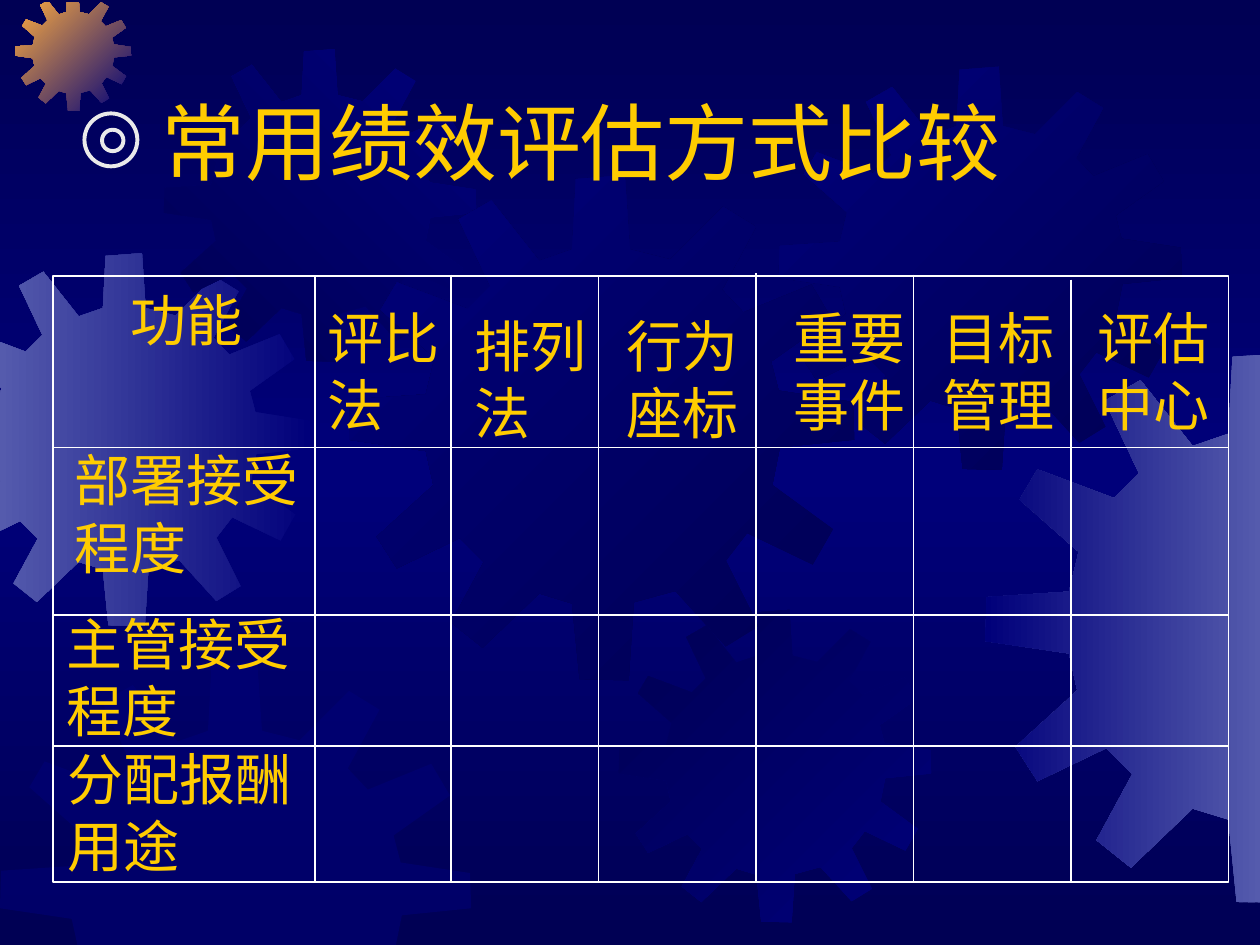
from copy import deepcopy

from lxml.etree import SubElement
from pptx import Presentation
from pptx.dml.color import RGBColor
from pptx.enum.shapes import MSO_CONNECTOR, MSO_SHAPE
from pptx.enum.text import MSO_AUTO_SIZE
from pptx.oxml.ns import qn
from pptx.util import Inches, Pt

NAVY, BLUE = "000054", "00007A"
LAVENDER, ORANGE = "555BAD", "FCAB40"
YELLOW, WHITE, PALE = "FFCC00", "FFFFFF", "EAEAEA"

# Outline of one gear inside a square of GEAR_UNITS by GEAR_UNITS.
GEAR_UNITS = 401
GEAR_OUTLINE = [
    (255, 67), (223, 59), (219, 0), (180, 3), (177, 59), (151, 68),
    (113, 20), (87, 35), (112, 88), (94, 106), (38, 85), (25, 107),
    (68, 145), (61, 174), (1, 178), (0, 210), (61, 219), (67, 246),
    (22, 287), (38, 312), (88, 288), (107, 307), (81, 355), (106, 375),
    (151, 332), (177, 340), (183, 400), (222, 401), (226, 339), (259, 330),
    (299, 374), (325, 358), (299, 306), (316, 284), (368, 309), (384, 281),
    (336, 246), (342, 216), (401, 210), (400, 180), (341, 171), (335, 148),
    (383, 114), (367, 87), (313, 109), (296, 91), (323, 41), (297, 25),
]
# Axis, limit, and the side to keep (1 above the limit, -1 below it).
PAGE_EDGES = [(0, -0.01, 1), (0, 10.01, -1), (1, 0.02, 1), (1, 7.54, -1)]

# Left, top, size, gradient colours, clockwise angle.
GEARS = [
    (-0.49, 2.01, 2.96, (BLUE, LAVENDER), 180),
    (0.12, -0.04, 0.92, (BLUE, ORANGE), 225),
    (1.3, 0.39, 2.48, (BLUE, NAVY), 135),
    (2.77, 1.39, 4.01, (NAVY, BLUE), 225),
    (0, 5.25, 3.74, (BLUE,), None),
    (4.91, 4.84, 2.48, (BLUE, NAVY), 225),
    (6.18, 0.53, 3.2, (NAVY, BLUE), 225),
    (7.82, 2.8, 4.37, (LAVENDER, BLUE), 180),
]

GRID_LEFT, GRID_TOP, GRID_RIGHT, GRID_BOTTOM = 0.42, 2.19, 9.75, 7
ROW_LINES = [3.55, 4.88, 5.92]
COLUMN_LINES = [(2.5, 2.19), (3.58, 2.18), (4.75, 2.19),
                (6, 2.17), (7.25, 2.18), (8.5, 2.22)]

# Left, top, width, height, text.
LABELS = [
    (0.94, 2.22, 1.09, 0.64, "功能"),
    (3.67, 2.42, 1.09, 1.17, "排列\n法"),
    (4.87, 2.42, 1.09, 1.17, "行为\n座标"),
    (6.2, 2.36, 1.09, 1.17, "重要\n事件"),
    (7.38, 2.36, 1.09, 1.17, "目标\n管理"),
    (8.61, 2.36, 1.09, 1.17, "评估\n中心"),
    (2.5, 2.36, 1.09, 1.17, "评比\n法"),
    (0.44, 5.86, 1.98, 1.17, "分配报酬\n用途"),
    (0.43, 4.79, 1.98, 1.17, "主管接受\n程度"),
    (0.49, 3.49, 1.98, 1.17, "部署接受\n程度"),
]


def color(hex_string):
    return RGBColor.from_string(hex_string)


def clip(points, axis, limit, side):
    """Cut a closed outline along one straight page edge."""
    kept = []
    for start, end in zip(points, points[1:] + points[:1]):
        start_inside = (start[axis] - limit) * side >= 0
        end_inside = (end[axis] - limit) * side >= 0
        if start_inside:
            kept.append(start)
        if start_inside != end_inside:
            share = (limit - start[axis]) / (end[axis] - start[axis])
            kept.append(tuple(a + share * (b - a) for a, b in zip(start, end)))
    return kept


def fill_gradient(fill, element, colors, angle):
    """Spread the colours evenly along a clockwise angle."""
    fill.gradient()
    fill.gradient_angle = 360 - angle
    stop_list = element.find(".//" + qn("a:gsLst"))
    while len(stop_list) < len(colors):
        stop_list.append(deepcopy(stop_list[0]))
    for index, (stop, hex_string) in enumerate(zip(fill.gradient_stops, colors)):
        stop.position = index / (len(colors) - 1)
        stop.color.rgb = color(hex_string)


class SlideBuilder:
    font_name = "Times New Roman"
    text_color = YELLOW
    grid_color = WHITE
    grid_width = 0.75

    def __init__(self, slide):
        self.slide = slide
        self.shapes = slide.shapes

    def background(self, colors, angle):
        fill_gradient(self.slide.background.fill, self.slide._element, colors, angle)

    def gear(self, left, top, size, colors, angle):
        scale = size / GEAR_UNITS
        points = [(left + x * scale, top + y * scale) for x, y in GEAR_OUTLINE]
        for edge in PAGE_EDGES:
            points = clip(points, *edge)
        corners = [(Inches(x), Inches(y)) for x, y in points]
        builder = self.shapes.build_freeform(*corners[0])
        builder.add_line_segments(corners[1:], close=True)
        shape = builder.convert_to_shape()
        shape.shadow.inherit = False
        shape.line.fill.background()
        if len(colors) > 1:
            fill_gradient(shape.fill, shape._element, colors, angle)
        else:
            shape.fill.solid()
            shape.fill.fore_color.rgb = color(colors[0])
            fill_color = shape._element.spPr.find(".//" + qn("a:srgbClr"))
            SubElement(fill_color, qn("a:alpha")).set("val", "50000")

    def outline(self, kind, left, top, width, height, line_color, line_width):
        shape = self.shapes.add_shape(
            kind, Inches(left), Inches(top), Inches(width), Inches(height))
        shape.shadow.inherit = False
        shape.fill.background()
        shape.line.color.rgb = color(line_color)
        shape.line.width = Pt(line_width)

    def grid_line(self, left, top, right, bottom):
        line = self.shapes.add_connector(
            MSO_CONNECTOR.STRAIGHT,
            Inches(left), Inches(top), Inches(right), Inches(bottom))
        line.line.color.rgb = color(self.grid_color)
        line.line.width = Pt(self.grid_width)
        SubElement(line._element.spPr, qn("a:effectLst"))

    def text(self, left, top, width, height, text, size=32, wrap=False):
        box = self.shapes.add_textbox(
            Inches(left), Inches(top), Inches(width), Inches(height))
        text_frame = box.text_frame
        text_frame.word_wrap = wrap
        text_frame.auto_size = MSO_AUTO_SIZE.SHAPE_TO_FIT_TEXT
        text_frame.text = text
        for paragraph in text_frame.paragraphs:
            for run in paragraph.runs:
                run.font.name = self.font_name
                run.font.size = Pt(size)
                run.font.color.rgb = color(self.text_color)


def main():
    presentation = Presentation()
    presentation.slide_width = Inches(10)
    presentation.slide_height = Inches(7.5)
    builder = SlideBuilder(
        presentation.slides.add_slide(presentation.slide_layouts[6]))

    builder.background((NAVY, BLUE, NAVY), 90)
    for gear in GEARS:
        builder.gear(*gear)

    builder.text(1.18, 0.67, 8.82, 0.9, "常用绩效评估方式比较", size=48, wrap=True)
    for left, top, diameter in [(0.67, 0.9, 0.42), (0.81, 1.03, 0.17)]:
        builder.outline(MSO_SHAPE.OVAL, left, top, diameter, diameter, PALE, 2.25)

    builder.outline(MSO_SHAPE.RECTANGLE, GRID_LEFT, GRID_TOP,
                    GRID_RIGHT - GRID_LEFT, GRID_BOTTOM - GRID_TOP,
                    builder.grid_color, builder.grid_width)
    for y in ROW_LINES:
        builder.grid_line(GRID_LEFT, y, GRID_RIGHT, y)
    for x, top in COLUMN_LINES:
        builder.grid_line(x, top, x, GRID_BOTTOM)
    for label in LABELS:
        builder.text(*label)

    presentation.save("out.pptx")


if __name__ == "__main__":
    main()
